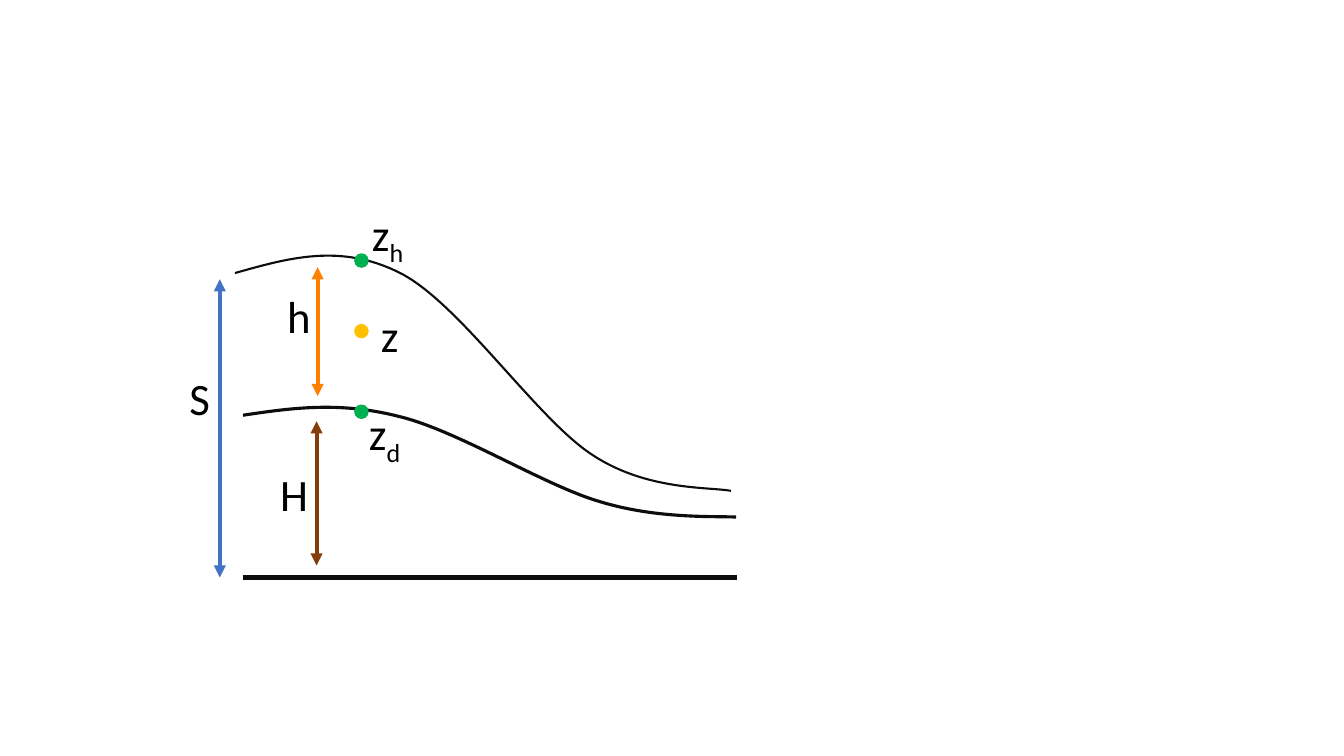
from lxml.etree import SubElement
from pptx import Presentation
from pptx.dml.color import RGBColor
from pptx.enum.shapes import MSO_CONNECTOR, MSO_SHAPE
from pptx.oxml.ns import qn
from pptx.util import Emu, Pt

PX = 9144
SLIDE_WIDTH, SLIDE_HEIGHT = 1333, 750
FONT, LABEL_SIZE, SUBSCRIPT = "Calibri", 32, "-25000"
DOT_SIZE, DOT_X = 13, 352
LABEL_HEIGHT = 63
COLORS = {
    "ink": "0D0D0D", "text": "000000", "bed": "843C0B", "depth": "FF8000",
    "surface": "4472C4", "boundary": "00B050", "interior": "FFC000",
}

GROUND = ((241, 573), (731, 573))
CURVES = [
    (2.25, [(241, 412), (288, 405), (336, 398), (395, 413), (454, 427),
            (540, 482), (596, 498), (652, 515), (710, 512), (730, 513)]),
    (1.5, [(233, 271), (286, 256), (338, 241), (397, 271), (456, 301),
           (532, 415), (587, 451), (641, 487), (703, 483), (725, 487)]),
]
HEIGHT_ARROWS = [
    ("bed", 314, 418, 561),
    ("depth", 315, 265, 393),
    ("surface", 218, 277, 573),
]
DOTS = [("boundary", 252), ("boundary", 402), ("interior", 322)]
LABELS = [
    ("z", "", 368, 300, 32),
    ("z", "d", 356, 398, 69),
    ("z", "h", 359, 200, 116),
    ("h", "", 275, 282, 32),
    ("H", "", 268, 458, 32),
    ("S", "", 178, 363, 32),
]


def px(*lengths):
    return [Emu(length * PX) for length in lengths]


def rgb(role):
    return RGBColor.from_string(COLORS[role])


def style_line(line, role, width):
    line.color.rgb = rgb(role)
    line.width = Pt(width)


def add_line(shapes, start, end, role, width, heads=()):
    connector = shapes.add_connector(MSO_CONNECTOR.STRAIGHT, *px(*start, *end))
    style_line(connector.line, role, width)
    properties = connector._element.spPr
    for head in heads:
        SubElement(properties.find(qn("a:ln")), qn(head), type="triangle")
    SubElement(properties, qn("a:effectLst"))


def add_curve(shapes, points, width):
    builder = shapes.build_freeform(*points[0], scale=PX)
    builder.add_line_segments(points[1:], close=False)
    curve = builder.convert_to_shape()
    curve.shadow.inherit = False
    curve.fill.background()
    style_line(curve.line, "ink", width)
    outline = next(curve._element.iter(qn("a:path")))
    segments = outline.findall(qn("a:lnTo"))
    for first in range(0, len(segments), 3):
        bezier = SubElement(outline, qn("a:cubicBezTo"))
        for segment in segments[first:first + 3]:
            bezier.append(segment[0])
            outline.remove(segment)


def add_dot(shapes, role, top):
    dot = shapes.add_shape(MSO_SHAPE.OVAL, *px(DOT_X, top, DOT_SIZE, DOT_SIZE))
    dot.shadow.inherit = False
    dot.fill.solid()
    dot.fill.fore_color.rgb = rgb(role)
    style_line(dot.line, role, 1)


def add_label(shapes, symbol, subscript, left, top, width):
    label = shapes.add_textbox(*px(left, top, width, LABEL_HEIGHT + 8 * len(subscript)))
    label.text_frame.word_wrap = True
    paragraph = label.text_frame.paragraphs[0]
    for part in filter(None, (symbol, subscript)):
        run = paragraph.add_run()
        run.text = part
        run.font.name = FONT
        run.font.size = Pt(LABEL_SIZE)
        run.font.color.rgb = rgb("text")
    if subscript:
        run.font._element.set("baseline", SUBSCRIPT)


def main():
    deck = Presentation()
    deck.slide_width, deck.slide_height = px(SLIDE_WIDTH, SLIDE_HEIGHT)
    shapes = deck.slides.add_slide(deck.slide_layouts[6]).shapes
    add_line(shapes, *GROUND, "ink", 3)
    for width, points in CURVES:
        add_curve(shapes, points, width)
    for role, x, top, bottom in HEIGHT_ARROWS:
        add_line(shapes, (x, top), (x, bottom), role, 2.89, ("a:headEnd", "a:tailEnd"))
    for role, top in DOTS:
        add_dot(shapes, role, top)
    for label in LABELS:
        add_label(shapes, *label)
    deck.save("out.pptx")


if __name__ == "__main__":
    main()
